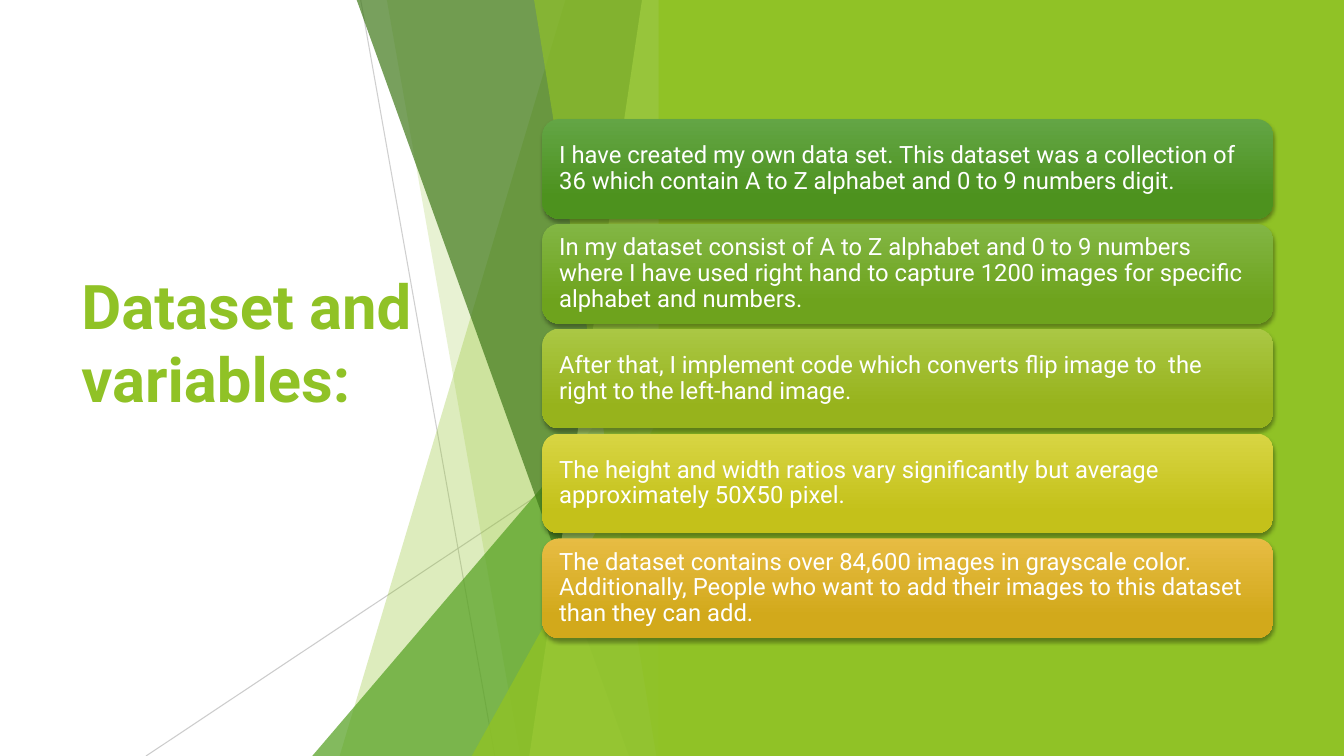
import lxml.etree
import pptx
import pptx.dml.color
import pptx.enum.shapes
import pptx.enum.text
import pptx.oxml.ns
import pptx.util

Cm = pptx.util.Cm
SHAPES = pptx.enum.shapes.MSO_SHAPE
FONT = "Roboto"
GREEN = "90C226"
WHITE = "FFFFFF"

FACET_LINES = [
    (5.41, 0, 8.79, 19.05, 75),
    (13.24, 10.24, 0, 19.05, 80),
]
FACETS = [
    ("slab", 10.57, 4.88, GREEN, 30),
    ("slab", 6.07, 9.43, GREEN, 20),
    ("triangle", 8.46, 4.19, "54A021", 72),
    ("slab", 5.31, 12.17, "3F7819", 70),
    ("slab", 12.5, 9.66, "C0E474", 70),
    ("slab", 9.78, 12.86, GREEN, 65),
    ("triangle", 9.98, 8.21, GREEN, 80),
]
CARDS = [
    ("I have created my own data set. This dataset was a collection of 36 which "
     "contain A to Z alphabet and 0 to 9 numbers digit.", "63A545", "4D921E"),
    ("In my dataset consist of A to Z alphabet and 0 to 9 numbers where I have used "
     "right hand to capture 1200 images for specific alphabet and numbers.",
     "82B644", "6EA31D"),
    ("After that, I implement code which converts flip image to  the right to the "
     "left-hand image.", "AAC744", "97B31C"),
    ("The height and width ratios vary significantly but average approximately "
     "50X50 pixel.", "D8D543", "C4C11A"),
    ("The dataset contains over 84,600 images in grayscale color. Additionally, "
     "People who want to add their images to this dataset than they can add.",
     "E7BC43", "D2A91B"),
]


def color(hex_code):
    """Turn a hex string into a colour."""
    return pptx.dml.color.RGBColor.from_string(hex_code)


def add_child(parent, tag, **attributes):
    """Append an XML element with the given attributes."""
    child = lxml.etree.SubElement(parent, pptx.oxml.ns.qn(tag))
    for name, value in attributes.items():
        child.set(name, str(value))
    return child


def set_alpha(element, percent):
    """Make the colour inside an element partly transparent."""
    rgb = next(element.iter(pptx.oxml.ns.qn("a:srgbClr")))
    add_child(rgb, "a:alpha", val=percent * 1000)


def paint(shape, hex_code, opacity=100):
    """Give a shape a flat fill without outline or shadow."""
    shape.shadow.inherit = False
    shape.fill.solid()
    shape.fill.fore_color.rgb = color(hex_code)
    shape.line.fill.background()
    if opacity < 100:
        set_alpha(shape._element.spPr, opacity)


def write(shape, text, size, hex_code, bold=False):
    """Write one left-aligned, vertically centred paragraph."""
    frame = shape.text_frame
    frame.word_wrap = True
    frame.vertical_anchor = pptx.enum.text.MSO_ANCHOR.MIDDLE
    para = frame.paragraphs[0]
    para.alignment = pptx.enum.text.PP_ALIGN.LEFT
    span = para.add_run()
    span.text = text
    span.font.name = FONT
    span.font.size = pptx.util.Pt(size)
    span.font.bold = bold
    span.font.color.rgb = color(hex_code)
    return para


def add_title(page, left, top, width, height):
    """Place the slide title, sitting slightly above the middle of its box."""
    box = page.shapes.add_textbox(Cm(left), Cm(top), Cm(width), Cm(height))
    write(box, "Dataset and variables:", 44, GREEN, bold=True)
    box.text_frame.margin_bottom = Cm(1.98)


def add_facets(page, left, top, width, height):
    """Draw the thin lines and overlapping translucent facets."""
    right, bottom = left + width, top + height
    for x1, y1, x2, y2, opacity in FACET_LINES:
        line = page.shapes.add_connector(
            pptx.enum.shapes.MSO_CONNECTOR.STRAIGHT,
            Cm(left + x1), Cm(top + y1), Cm(left + x2), Cm(top + y2))
        line.line.color.rgb = color("BFBFBF")
        line.line.width = pptx.util.Pt(0.75)
        set_alpha(line._element.spPr, opacity)
        add_child(line._element.spPr, "a:effectLst")
    for kind, start, foot, hex_code, opacity in FACETS:
        if kind == "triangle":
            facet = page.shapes.add_shape(
                SHAPES.ISOSCELES_TRIANGLE, Cm(left + foot), Cm(top + start),
                Cm(width - foot), Cm(height - start))
            facet.adjustments[0] = 1
        else:
            outline = page.shapes.build_freeform(Cm(left + start), Cm(top))
            outline.add_line_segments([
                (Cm(right), Cm(top)), (Cm(right), Cm(bottom)),
                (Cm(left + foot), Cm(bottom))], close=True)
            facet = outline.convert_to_shape()
        paint(facet, hex_code, opacity)


def add_panel(page, left, top, width, height):
    """Fill the right side of the slide with green."""
    panel = page.shapes.add_shape(
        SHAPES.RECTANGLE, Cm(left), Cm(top), Cm(width), Cm(height))
    paint(panel, GREEN)


def add_card(page, left, top, width, height, text, upper, lower):
    """Draw one rounded gradient card with its text and shadow."""
    card = page.shapes.add_shape(
        SHAPES.ROUNDED_RECTANGLE, Cm(left), Cm(top), Cm(width), Cm(height))
    card.line.fill.background()
    card.fill.gradient()
    card.fill.gradient_angle = 270
    stops = card.fill.gradient_stops
    for stop, position, hex_code in zip(stops, (0, 0.78), (upper, lower)):
        stop.position = position
        stop.color.rgb = color(hex_code)
    card.shadow.inherit = False
    effects = card._element.spPr.find(pptx.oxml.ns.qn("a:effectLst"))
    shadow = add_child(effects, "a:outerShdw", blurRad=pptx.util.Pt(3),
                       dist=pptx.util.Pt(2), dir=90 * 60000, rotWithShape=0)
    add_child(shadow, "a:srgbClr", val="000000")
    set_alpha(shadow, 35)
    para = write(card, text, 17, WHITE)
    para.line_spacing = 0.9
    frame = card.text_frame
    frame.margin_left = frame.margin_right = Cm(0.3)
    frame.margin_top = frame.margin_bottom = Cm(0.2)


def add_cards(page, left, top, width, height, gap=0.13):
    """Stack the cards evenly in the given box."""
    card_height = (height - gap * (len(CARDS) - 1)) / len(CARDS)
    for index, (text, upper, lower) in enumerate(CARDS):
        card_top = top + index * (card_height + gap)
        add_card(page, left, card_top, width, card_height, text, upper, lower)


def main():
    """Build the slide and save the deck."""
    deck = pptx.Presentation()
    deck.slide_width, deck.slide_height = Cm(33.87), Cm(19.05)
    page = deck.slides.add_slide(deck.slide_layouts[6])
    page.background.fill.solid()
    page.background.fill.fore_color.rgb = color(WHITE)
    add_title(page, 1.8, 3.84, 9.86, 11.38)
    add_facets(page, 3.68, 0, 13.24, 19.05)
    add_panel(page, 16.6, 0, 17.27, 19.05)
    add_cards(page, 13.67, 3, 18.42, 13.08)
    deck.save("out.pptx")


if __name__ == "__main__":
    main()
